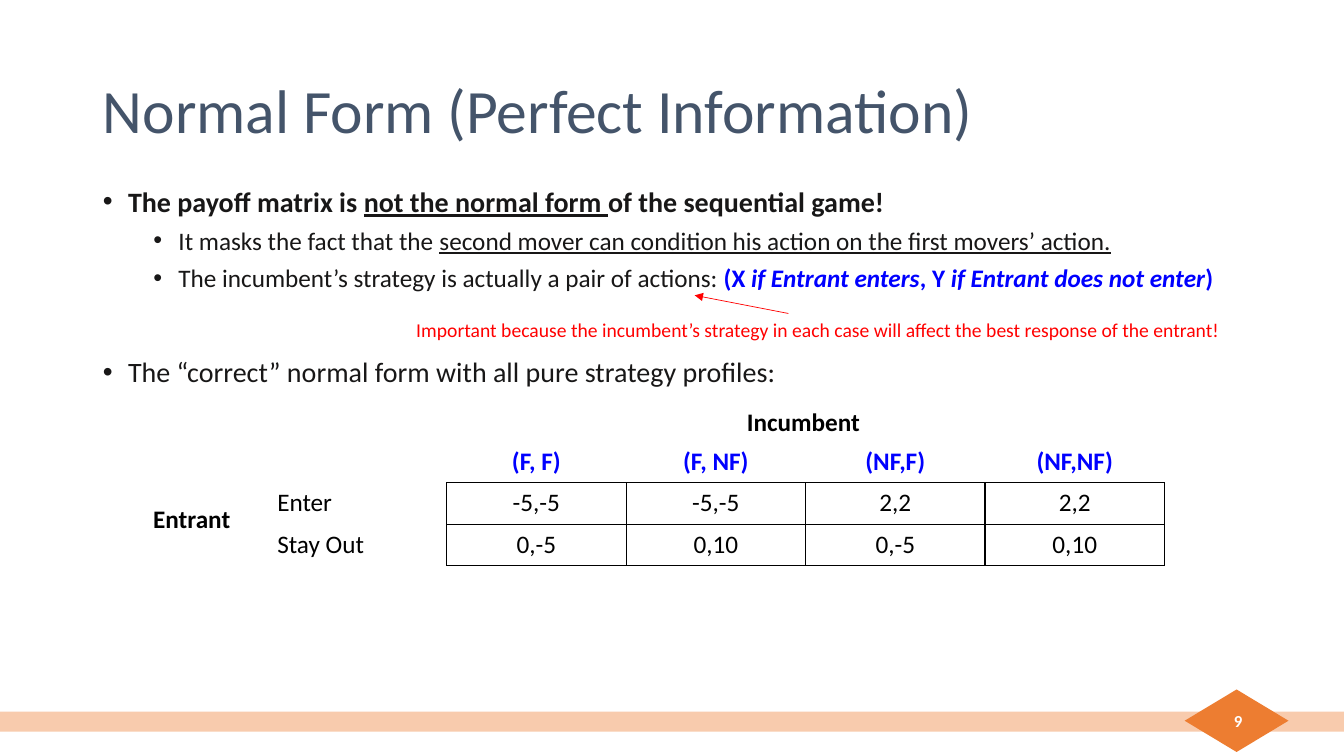
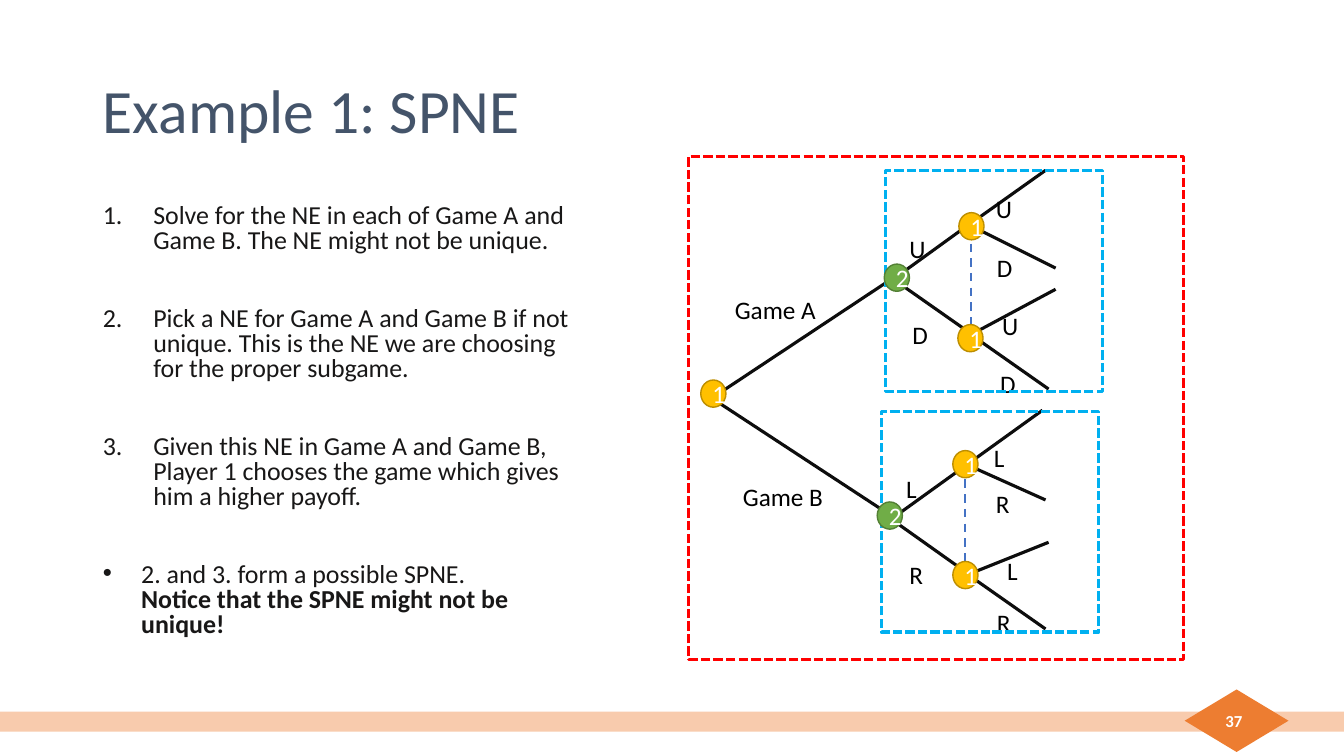
from lxml import etree
from pptx import Presentation
from pptx.dml.color import RGBColor
from pptx.enum import dml, shapes, text
from pptx.oxml.ns import qn
from pptx.util import Inches, Pt

FONT = "Calibri"
BLACK, WHITE, INK = "000000", "FFFFFF", "181717"
TITLE, BLUE, RED = "44546A", "0000FF", "FF0000"
BAND, ORANGE = "F8CBAD", "ED7D31"
BRANCH, LINK, FRAME = "0D0D0D", "4472C4", "00B0F0"
PLAYERS = {"1": ("FFC000", "BD8E00"), "2": ("70AD47", "538035")}
NODE_SIZE = (0.25, 0.27)
ALIGN = text.PP_ALIGN
DASH = dml.MSO_LINE

HEAD = dict(size=20, indent=(0.25, -0.25), bullet="•")
SUB = dict(size=18, indent=(0.75, -0.25), bullet="•", level=1, before=5)
NORMAL_FORM = [
    ([("The payoff matrix is ", dict(bold=True)),
      ("not the normal form ", dict(bold=True, underline=True)),
      ("of the sequential game!", dict(bold=True))], HEAD),
    ([("It masks the fact that the ", {}),
      ("second mover can condition his action on the first movers’ action.", dict(underline=True))], SUB),
    ([("The incumbent’s strategy is actually a pair of actions: ", {}),
      ("(X ", dict(bold=True, color=BLUE)),
      ("if Entrant enters", dict(bold=True, italic=True, color=BLUE)),
      (", Y ", dict(bold=True, color=BLUE)),
      ("if Entrant does not enter", dict(bold=True, italic=True, color=BLUE)),
      (")", dict(bold=True, color=BLUE))], SUB),
    ("The “correct” normal form with all pure strategy profiles:", dict(HEAD, before=44.4)),
]
PAYOFFS = [
    ["", "(F, F)", "(F, NF)", "(NF,F)", "(NF,NF)"],
    ["Enter", "-5,-5", "-5,-5", "2,2", "2,2"],
    ["Stay Out", "0,-5", "0,10", "0,-5", "0,10"],
]
CALLOUT = "Important because the incumbent’s strategy in each case will affect the best response of the entrant!"

STEP = dict(size=18.5, spacing=0.8, indent=(0.5, -0.5), bullet="1.", before=38)
STEPS = [
    ("Solve for the NE in each of Game A and Game B. The NE might not be unique.", STEP),
    ("Pick a NE for Game A and Game B if not unique. "
     "This is the NE we are choosing for the proper subgame.", STEP),
    ("Given this NE in Game A and Game B, Player 1 chooses the game which gives him a higher payoff.", STEP),
    ([("2. and 3. form a possible SPNE.", {}), ("\n", {}),
      ("Notice that the SPNE might not be unique!", dict(bold=True))],
     dict(STEP, indent=(0.38, -0.38), bullet="•")),
]

ROOT = (7.06, 3.95)
BRANCHES = [
    (ROOT, [(8.84, 2.77), (8.86, 5.13)]),
    ((8.86, 2.77), [(9.62, 2.22), (9.63, 3.31)]),
    ((9.61, 2.23), [(10.37, 1.69), (10.47, 2.66)]),
    ((9.63, 3.32), [(10.47, 2.87), (10.4, 3.86)]),
    ((8.84, 5.15), [(9.59, 4.61), (9.6, 5.69)]),
    ((9.59, 4.61), [(10.34, 4.07), (10.37, 4.96)]),
    ((9.6, 5.7), [(10.4, 5.38), (10.37, 6.24)]),
]
INFORMATION_SETS = [((9.63, 2.27), (9.63, 3.36)), ((9.57, 4.61), (9.57, 5.71))]
LABELS = {
    "Game A": [(7.19, 2.87)],
    "Game B": [(7.27, 4.73)],
    "U": [(8.92, 2.27), (9.78, 1.87), (9.84, 3.03)],
    "D": [(8.95, 3.12), (9.79, 2.45), (9.82, 3.6)],
    "L": [(8.89, 4.65), (9.76, 4.34), (9.89, 5.46)],
    "R": [(8.92, 5.5), (9.78, 4.8), (9.79, 5.98)],
}
FRAMES = [
    ((8.78, 1.69, 2.16, 2.19), FRAME),
    ((8.74, 4.08, 2.16, 2.19), FRAME),
    ((6.83, 1.55, 4.91, 4.99), RED),
]
NODES = {
    "1": [(6.95, 3.77), (9.51, 2.11), (9.5, 3.22), (9.45, 4.47), (9.45, 5.57)],
    "2": [(8.77, 2.62), (8.7, 4.98)],
}


def rgb(value):
    return RGBColor.from_string(value)


def inches(values):
    return [Inches(value) for value in values]


def place(shape, box):
    shape.left, shape.top, shape.width, shape.height = inches(box)


def set_bullet(paragraph, bullet, indent):
    properties = paragraph._p.get_or_add_pPr()
    properties.set("marL", str(Inches(indent[0])))
    properties.set("indent", str(Inches(indent[1])))
    etree.SubElement(properties, qn("a:buFont"), typeface="Arial" if bullet == "•" else "+mj-lt")
    if bullet == "•":
        etree.SubElement(properties, qn("a:buChar"), char=bullet)
    else:
        etree.SubElement(properties, qn("a:buAutoNum"), type="arabicPeriod")


def write(paragraph, content, size=18, color=BLACK, bold=False, italic=False, underline=False,
          align=ALIGN.LEFT, spacing=None, before=None, level=0, bullet=None, indent=None):
    paragraph.alignment = align
    paragraph.level = level
    if bullet:
        set_bullet(paragraph, bullet, indent)
    if spacing:
        paragraph.line_spacing = spacing
    if before is not None:
        paragraph.space_before = Pt(before)
    base = dict(color=color, bold=bold, italic=italic, underline=underline)
    for words, changes in [(content, {})] if isinstance(content, str) else content:
        if words == "\n":
            paragraph.add_line_break()
            continue
        style = {**base, **changes}
        run = paragraph.add_run()
        run.text = words
        font = run.font
        font.name, font.size = FONT, Pt(size)
        font.bold, font.italic, font.underline = style["bold"], style["italic"], style["underline"]
        font.color.rgb = rgb(style["color"])


def add_text(slide, words, box, wrap=True, anchor=text.MSO_ANCHOR.TOP, **style):
    frame = slide.shapes.add_textbox(*inches(box)).text_frame
    frame.word_wrap = wrap
    frame.vertical_anchor = anchor
    write(frame.paragraphs[0], words, **style)


def add_shape(slide, kind, box, fill=None, line=None, width=1, dash=None):
    shape = slide.shapes.add_shape(kind, *inches(box))
    shape.shadow.inherit = False
    if fill:
        shape.fill.solid()
        shape.fill.fore_color.rgb = rgb(fill)
    else:
        shape.fill.background()
    if line:
        shape.line.color.rgb = rgb(line)
        shape.line.width = Pt(width)
        shape.line.dash_style = dash
    else:
        shape.line.fill.background()
    return shape


def add_line(slide, start, end, color, width, dash=None, arrow=False):
    connector = slide.shapes.add_connector(shapes.MSO_CONNECTOR.STRAIGHT, *inches(start + end))
    connector.line.color.rgb = rgb(color)
    connector.line.width = Pt(width)
    if dash:
        connector.line.dash_style = dash
    if arrow:
        etree.SubElement(connector.line._get_or_add_ln(), qn("a:tailEnd"), type="triangle")
    etree.SubElement(connector.element.spPr, qn("a:effectLst"))


def add_footer_to_master(presentation, slide):
    parts = [
        (shapes.MSO_SHAPE.RECTANGLE, (0, 7.06, 13.33, 0.2), BAND),
        (shapes.MSO_SHAPE.DIAMOND, (11.75, 6.84, 1.03, 0.62), ORANGE),
    ]
    for number, (kind, box, fill) in enumerate(parts, 100):
        shape = add_shape(slide, kind, box, fill)
        shape.element.nvSpPr.cNvPr.set("id", str(number))
        presentation.slide_master.shapes.element.append(shape.element)


def add_slide(presentation, title, number, body_box, items):
    slide = presentation.slides.add_slide(presentation.slide_layouts[1])
    heading, body = slide.placeholders
    place(heading, (0.92, 0.4, 11.5, 1.45))
    place(body, body_box)
    for placeholder in (heading, body):
        placeholder.text_frame.auto_size = text.MSO_AUTO_SIZE.NONE
    heading.text_frame.vertical_anchor = text.MSO_ANCHOR.MIDDLE
    write(heading.text_frame.paragraphs[0], title, size=44, color=TITLE, spacing=0.9)
    frame = body.text_frame
    for index, (content, style) in enumerate(items):
        paragraph = frame.add_paragraph() if index else frame.paragraphs[0]
        write(paragraph, content, color=INK, **(style if index else dict(style, before=0)))
    add_text(slide, number, (9.42, 6.95, 3, 0.4), anchor=text.MSO_ANCHOR.MIDDLE,
             size=12, color=WHITE, bold=True, align=ALIGN.RIGHT)
    return slide


def set_borders(cell, sides):
    properties = cell._tc.get_or_add_tcPr()
    for index, side in enumerate("LRTB"):
        line = etree.Element(qn("a:ln" + side), w=str(Pt(1)))
        if side in sides:
            fill = etree.SubElement(line, qn("a:solidFill"))
            etree.SubElement(fill, qn("a:srgbClr"), val=BLACK)
        else:
            etree.SubElement(line, qn("a:noFill"))
        properties.insert(index, line)


def add_payoff_table(slide):
    rows, columns = len(PAYOFFS), len(PAYOFFS[0])
    box = inches((2.65, 4.38, 1.78 * columns, 0.41 * rows))
    table = slide.shapes.add_table(rows, columns, *box).table
    table.first_row = table.horz_banding = False
    for r, row in enumerate(PAYOFFS):
        for c, words in enumerate(row):
            cell = table.cell(r, c)
            cell.fill.background()
            if r and c:
                sides = "LRTB"
            else:
                sides = "B" if c else "R" if r else ""
            set_borders(cell, sides)
            write(cell.text_frame.paragraphs[0], words, bold=r == 0,
                  color=BLACK if r else BLUE, align=ALIGN.CENTER if c else ALIGN.LEFT)


def build_normal_form(presentation):
    slide = add_slide(presentation, "Normal Form (Perfect Information)", "9",
                      (0.92, 1.78, 12.05, 3.21), NORMAL_FORM)
    add_footer_to_master(presentation, slide)
    add_payoff_table(slide)
    add_text(slide, "Incumbent", (7.31, 3.98, 1.33, 0.4), wrap=False, bold=True)
    add_text(slide, "Entrant", (1.42, 4.94, 0.97, 0.4), wrap=False, bold=True)
    add_text(slide, CALLOUT, (4.03, 3.1, 8.38, 0.57), size=14, color=RED)
    add_line(slide, (7.82, 3.11), (6.89, 2.93), RED, 0.5, arrow=True)


def build_game_tree(presentation):
    slide = add_slide(presentation, "Example 1: SPNE", "37", (0.92, 1.98, 5.03, 4.7), STEPS)
    for start, ends in BRANCHES:
        for end in ends:
            add_line(slide, start, end, BRANCH, 2.25)
    for words, spots in LABELS.items():
        for spot in spots:
            add_text(slide, words, spot + (1.2 if len(words) > 1 else 0.5, 0.4))
    for start, end in INFORMATION_SETS:
        add_line(slide, start, end, LINK, 1.5, DASH.DASH)
    for box, color in FRAMES:
        add_shape(slide, shapes.MSO_SHAPE.RECTANGLE, box, line=color, width=2.25, dash=DASH.SQUARE_DOT)
    for player, spots in NODES.items():
        fill, line = PLAYERS[player]
        for spot in spots:
            node = add_shape(slide, shapes.MSO_SHAPE.OVAL, spot + NODE_SIZE, fill, line)
            write(node.text_frame.paragraphs[0], player, color=WHITE, align=ALIGN.CENTER)


def main():
    presentation = Presentation()
    presentation.slide_width, presentation.slide_height = inches((13.33, 7.5))
    build_normal_form(presentation)
    build_game_tree(presentation)
    presentation.save("out.pptx")


if __name__ == "__main__":
    main()
